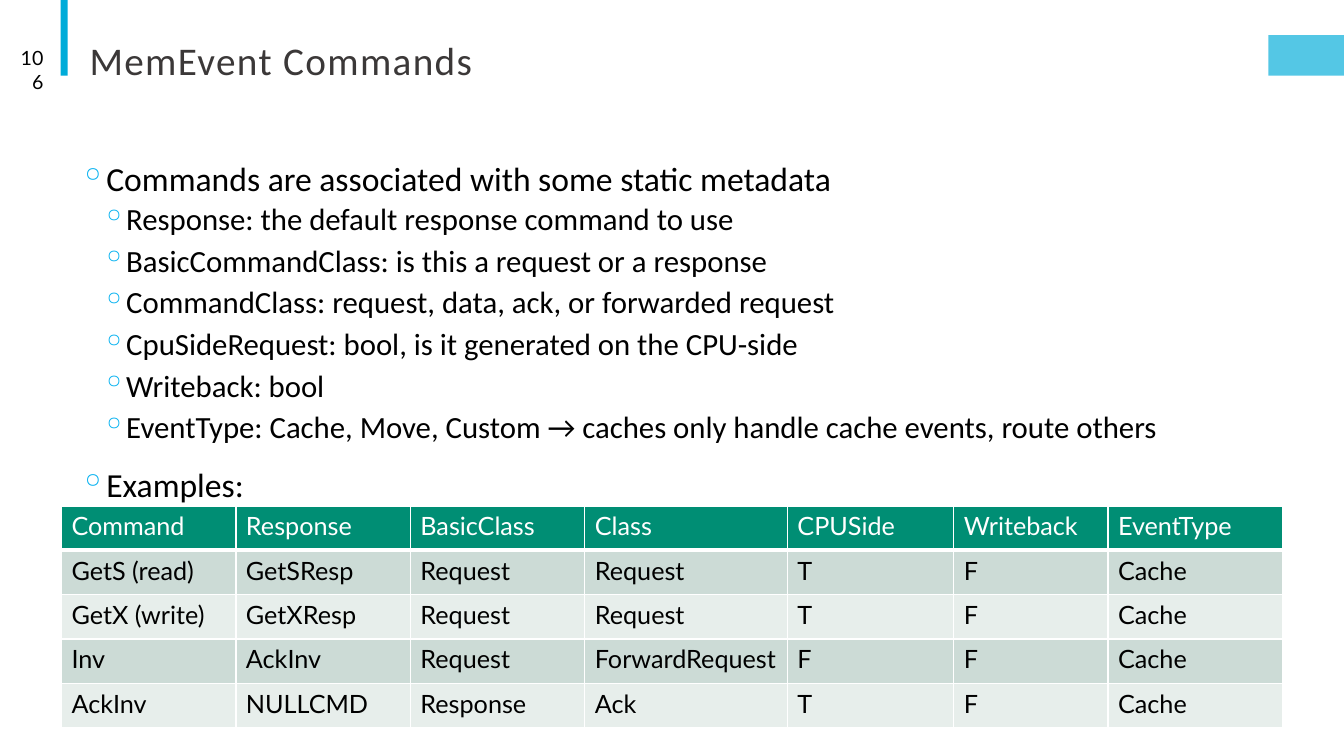
"""Build the MemEvent Commands slide."""
from dataclasses import dataclass
from typing import Any

from lxml import etree
from pptx import Presentation
from pptx import util as u
from pptx.dml.color import RGBColor
from pptx.enum import shapes, text
from pptx.oxml.ns import qn

PX = 9144
HUES = {"ink": "000000", "title": "3B3838", "bar": "00ACD9", "dot": "00B0F0",
        "white": "FFFFFF", "head": "008E74", "dark": "CCDBD6", "light": "E7EEEB"}


@dataclass(frozen=True)
class Box:
    left: int
    top: int
    wide: int
    high: int

    def emu(self) -> list[int]:
        return [n * PX for n in (self.left, self.top, self.wide, self.high)]


@dataclass(frozen=True)
class Bar:
    box: Box
    turn: int = 0
    alpha: int = 100


@dataclass(frozen=True)
class Level:
    rank: int
    size: int
    margin: int
    before: int
    after: int


MAIN = Level(0, 24, 10, 12, 2)
SUB = Level(1, 22, 42, 2, 4)
HANG = -20

BARS = [Bar(Box(26, 34, 75, 7), turn=90), Bar(Box(1258, 35, 75, 40), alpha=67)]
POINTS = [
    (MAIN, "Commands are associated with some static metadata"),
    (SUB, "Response: the default response command to use"),
    (SUB, "BasicCommandClass: is this a request or a response"),
    (SUB, "CommandClass: request, data, ack, or forwarded request"),
    (SUB, "CpuSideRequest: bool, is it generated on the CPU-side"),
    (SUB, "Writeback: bool"),
    (SUB, "EventType: Cache, Move, Custom → caches only handle cache events, route others"),
    (MAIN, "Examples:"),
]
GRID = Box(61, 502, 1212, 220)
COLS = [173, 173, 173, 201, 165, 153, 173]
ROWS = [
    ["Command", "Response", "BasicClass", "Class", "CPUSide", "Writeback", "EventType"],
    ["GetS (read)", "GetSResp", "Request", "Request", "T", "F", "Cache"],
    ["GetX (write)", "GetXResp", "Request", "Request", "T", "F", "Cache"],
    ["Inv", "AckInv", "Request", "ForwardRequest", "F", "F", "Cache"],
    ["AckInv", "NULLCMD", "Response", "Ack", "T", "F", "Cache"],
]


def paint(fill: Any, hue: str) -> None:
    fill.solid()
    fill.fore_color.rgb = RGBColor.from_string(HUES[hue])


def write(para: Any, words: str, *, size: int, face: str, hue: str = "ink",
          track: int = 0, lines: float = 1.0, align: Any = None) -> None:
    para.line_spacing = lines
    para.alignment = align
    run = para.add_run()
    run.text = words
    run.font.size = u.Pt(size)
    run.font.name = face
    run.font.color.rgb = RGBColor.from_string(HUES[hue])
    if track:
        run.font._element.set("spc", str(track * 100))


def frame(slide: Any, box: Box, anchor: Any) -> Any:
    body = slide.shapes.add_textbox(*box.emu()).text_frame
    body.word_wrap = True
    body.vertical_anchor = anchor
    return body


def draw_bar(slide: Any, bar: Bar) -> None:
    shape = slide.shapes.add_shape(shapes.MSO_SHAPE.RECTANGLE, *bar.box.emu())
    shape.shadow.inherit = False
    shape.rotation = bar.turn
    paint(shape.fill, "bar")
    shape.line.fill.background()
    if bar.alpha < 100:
        tint = shape.element.spPr.find(qn("a:solidFill")).find(qn("a:srgbClr"))
        etree.SubElement(tint, qn("a:alpha"), val=str(bar.alpha * 1000))


def add_dot(para: Any, level: Level) -> None:
    props = para._p.get_or_add_pPr()
    props.set("marL", str(level.margin * PX))
    props.set("indent", str(HANG * PX))
    tint = etree.SubElement(props, qn("a:buClr"))
    etree.SubElement(tint, qn("a:srgbClr"), val=HUES["dot"])
    etree.SubElement(props, qn("a:buChar"), char="◦")


def draw_points(slide: Any) -> None:
    body = frame(slide, Box(79, 156, 1180, 510), text.MSO_ANCHOR.TOP)
    body.margin_left = body.margin_right = 0
    for i, (level, words) in enumerate(POINTS):
        para = body.add_paragraph() if i else body.paragraphs[0]
        add_dot(para, level)
        para.level = level.rank
        para.space_before = u.Pt(level.before if i else 0)
        para.space_after = u.Pt(level.after)
        write(para, words, size=level.size, face="Calibri", lines=0.9)


def edge(cell: Any, side: str, width: int) -> None:
    props = cell._tc.get_or_add_tcPr()
    line = etree.SubElement(props, qn(f"a:ln{side}"), w=str(u.Pt(width)))
    fill = etree.SubElement(line, qn("a:solidFill"))
    etree.SubElement(fill, qn("a:srgbClr"), val=HUES["white"])


def draw_grid(slide: Any) -> None:
    grid = slide.shapes.add_table(len(ROWS), len(COLS), *GRID.emu()).table
    for col, wide in zip(grid.columns, COLS):
        col.width = wide * PX
    for r, row in enumerate(ROWS):
        back = "head" if r == 0 else ("light", "dark")[r % 2]
        for c, words in enumerate(row):
            cell = grid.cell(r, c)
            for side in "LRTB":
                edge(cell, side, 3 if r == 0 and side == "B" else 1)
            paint(cell.fill, back)
            write(cell.text_frame.paragraphs[0], words, size=18, face="Lato",
                  hue="ink" if r else "white")


def main() -> None:
    deck = Presentation()
    deck.slide_width, deck.slide_height = 1333 * PX, 750 * PX
    slide = deck.slides.add_slide(deck.slide_layouts[6])
    for bar in BARS:
        draw_bar(slide, bar)
    title = frame(slide, Box(79, 26, 1100, 62), text.MSO_ANCHOR.BOTTOM)
    write(title.paragraphs[0], "MemEvent Commands", size=28, face="Calibri",
          hue="title", track=1, lines=0.85)
    page = frame(slide, Box(7, 49, 46, 40), text.MSO_ANCHOR.MIDDLE)
    write(page.paragraphs[0], "106", size=14, face="Lato", align=text.PP_ALIGN.RIGHT)
    draw_points(slide)
    draw_grid(slide)
    deck.save("out.pptx")


if __name__ == "__main__":
    main()
